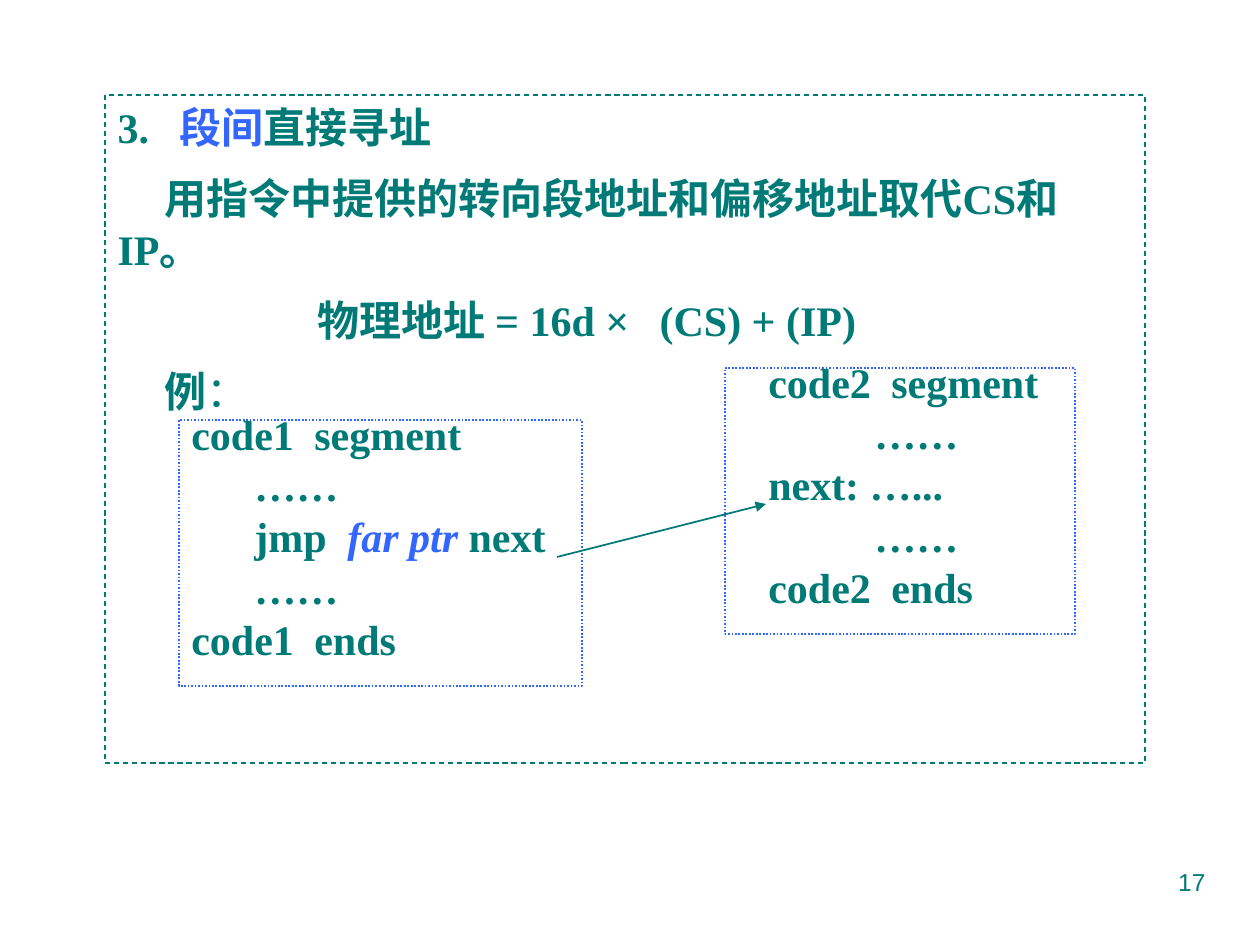
from dataclasses import dataclass, field
from typing import NamedTuple

from lxml.etree import SubElement as Sub
from pptx import Presentation
from pptx.dml.color import RGBColor as Rgb
from pptx.enum.dml import MSO_LINE as Dash
from pptx.enum.shapes import MSO_CONNECTOR as Conn, MSO_SHAPE as Kind
from pptx.enum.text import MSO_ANCHOR as Anchor, MSO_AUTO_SIZE as Auto, PP_ALIGN as Align
from pptx.oxml.ns import qn
from pptx.util import Emu, Pt

SCALE = 914400 / 126


@dataclass(frozen=True)
class Theme:
    teal: Rgb = Rgb(0x00, 0x7A, 0x77)
    blue: Rgb = Rgb(0x33, 0x66, 0xFF)
    serif: str = "Times New Roman"
    sans: str = "Arial"
    main: int = 24
    small: int = 14
    gap: int = 12
    tight: float = 0.6


THEME = Theme()


class Run(NamedTuple):
    text: str
    color: Rgb = THEME.teal
    bold: bool = True
    italic: bool = False
    name: str = THEME.serif
    size: int = THEME.main


class Para(NamedTuple):
    runs: list[Run]
    first: int = 0
    left: int = 0


class Box(NamedTuple):
    x: int
    y: int
    w: int
    h: int


@dataclass
class Code:
    box: Box
    paras: list[Para] = field(default_factory=list)


def px(n: int) -> Emu:
    return Emu(round(n * SCALE))


def place(shape, box: Box) -> None:
    for key, val in zip(("left", "top", "width", "height"), box):
        setattr(shape, key, px(val))


def edge(shape, color: Rgb, width: float, dash: Dash) -> None:
    shape.fill.background()
    shape.line.color.rgb = color
    for key, val in {"width": Pt(width), "dash_style": dash}.items():
        setattr(shape.line, key, val)


def write(shape, paras: list[Para], space: float = 1.0, align: Align = Align.LEFT) -> None:
    frame = shape.text_frame
    look = {"word_wrap": True, "auto_size": Auto.NONE, "vertical_anchor": Anchor.TOP}
    for key, val in look.items():
        setattr(frame, key, val)
    for i, para in enumerate(paras):
        line = frame.paragraphs[0] if i == 0 else frame.add_paragraph()
        form = {"alignment": align, "line_spacing": space, "space_before": Pt(THEME.gap)}
        for key, val in form.items():
            setattr(line, key, val)
        props = line._p.get_or_add_pPr()
        props.set("marL", str(px(para.left)))
        props.set("indent", str(px(para.first - para.left)))
        Sub(props, qn("a:buNone"))
        for run in para.runs:
            part = line.add_run()
            part.text = run.text
            font = {"name": run.name, "size": Pt(run.size), "bold": run.bold, "italic": run.italic}
            for key, val in font.items():
                setattr(part.font, key, val)
            part.font.color.rgb = run.color


def draw_code(slide, code: Code) -> None:
    shape = slide.shapes.add_shape(Kind.RECTANGLE, *map(px, code.box))
    shape.shadow.inherit = False
    edge(shape, THEME.blue, 1, Dash.ROUND_DOT)
    write(shape, code.paras, THEME.tight)


def draw_arrow(slide, x1: int, y1: int, x2: int, y2: int) -> None:
    arrow = slide.shapes.add_connector(Conn.STRAIGHT, *map(px, (x1, y1, x2, y2)))
    arrow.line.color.rgb = THEME.teal
    arrow.line.width = Pt(1)
    Sub(arrow.line._get_or_add_ln(), qn("a:tailEnd"), type="triangle")
    Sub(arrow.element.spPr, qn("a:effectLst"))


INDENT, TAB, STEP, INSET = 47, 123, 63, 31
DOTS = "……"

NOTES = [
    Para([Run("3.\t"), Run("段间", THEME.blue), Run("直接寻址")], 0, 62),
    Para([Run("用指令中提供的转向段地址和偏移地址取代CS和IP。")], INDENT),
    Para([Run("物理地址 = 16d ×\t(CS) + (IP)")], 200, 542),
    Para([Run("例"), Run("：", bold=False)], INDENT, INDENT),
]

CODES = [
    Code(Box(179, 420, 403, 266), [
        Para([Run("code1\tsegment")], 0, TAB),
        Para([Run(DOTS)], STEP, STEP),
        Para([Run("jmp\t"), Run("far ptr", THEME.blue, italic=True), Run(" next")], STEP, 156),
        Para([Run(DOTS)], STEP, STEP),
        Para([Run("code1\tends")], 0, TAB),
    ]),
    Code(Box(725, 368, 350, 266), [
        Para([Run("code2\tsegment")], INSET, INSET + TAB),
        Para([Run(DOTS)], 137, 137),
        Para([Run("next: …...")], INSET, INSET),
        Para([Run(DOTS)], 137, 137),
        Para([Run("code2\tends")], INSET, INSET + TAB),
    ]),
]


def main() -> None:
    deck = Presentation()
    deck.slide_width, deck.slide_height = px(1260), px(945)
    slide = deck.slides.add_slide(deck.slide_layouts[1])
    title = slide.shapes.title.element
    title.getparent().remove(title)

    body = slide.placeholders[1]
    place(body, Box(105, 95, 1040, 668))
    edge(body, THEME.teal, 0.75, Dash.DASH)
    write(body, NOTES)

    for code in CODES:
        draw_code(slide, code)
    draw_arrow(slide, 557, 557, 766, 504)

    page = slide.shapes.add_textbox(*map(px, Box(903, 861, 315, 65)))
    number = Run("17", bold=False, name=THEME.sans, size=THEME.small)
    write(page, [Para([number])], align=Align.RIGHT)
    deck.save("out.pptx")


if __name__ == "__main__":
    main()
